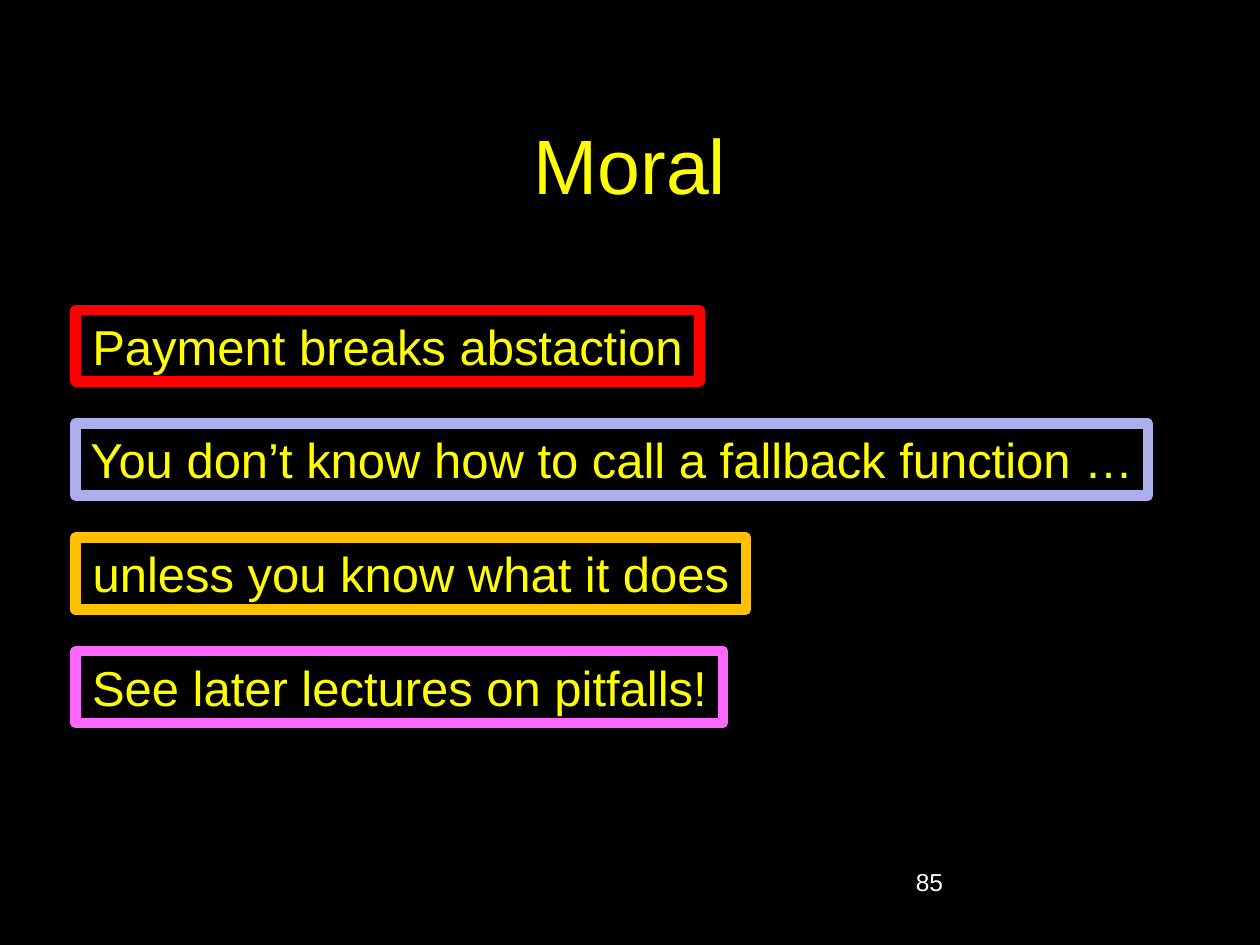
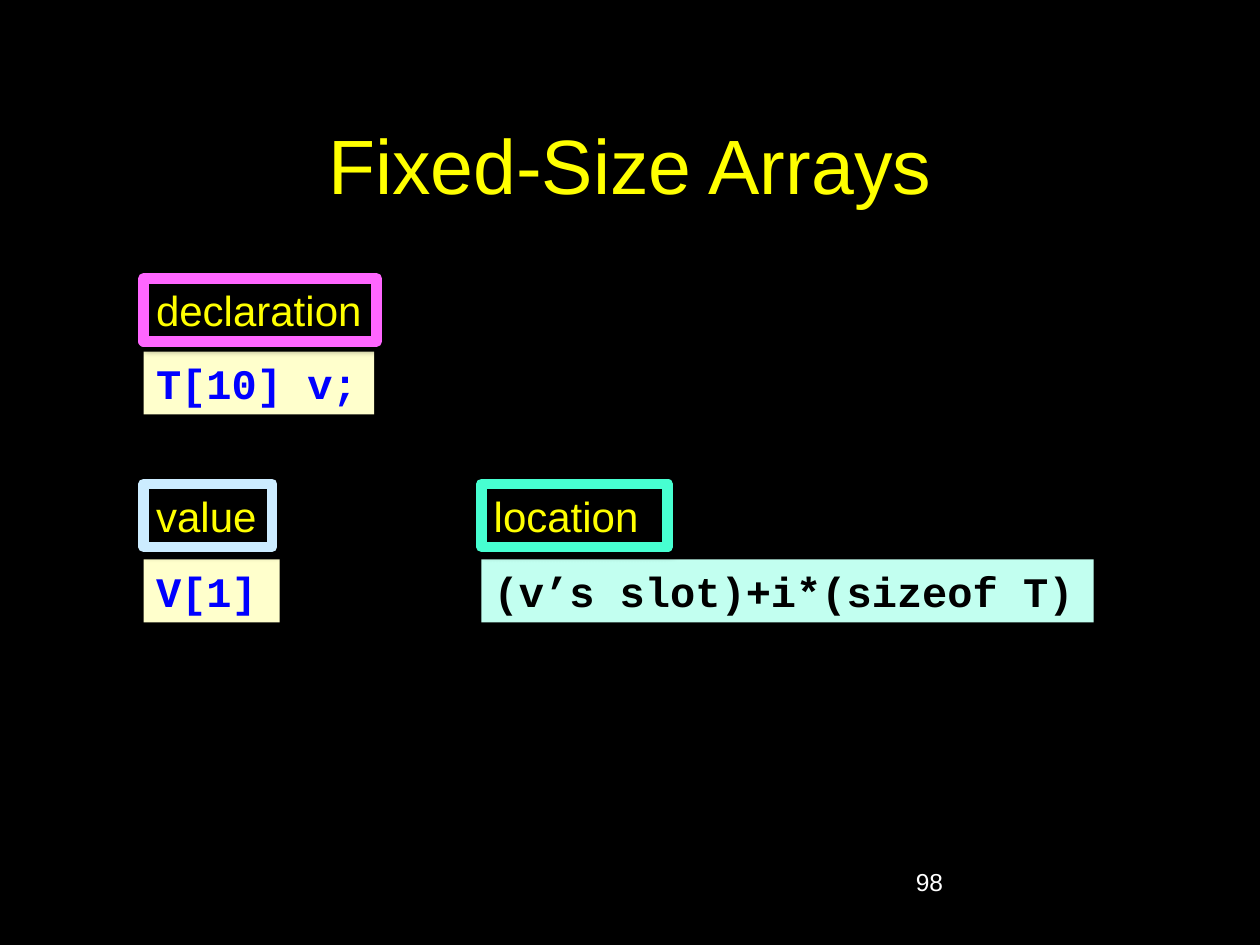
from lxml import etree
from pptx import Presentation
from pptx import util as u
from pptx.dml.color import RGBColor
from pptx.enum import shapes, text
from pptx.oxml import ns

BLACK, WHITE, YELLOW, PINK = "000000", "FFFFFF", "FFFF00", "FF66FF"
CREAM, BLUE, MINT = "FFFFCC", "0000FF", "C2FFF0"
TITLE = {"size": u.Pt(44), "name": "Arial"}
NUMBER = {"size": u.Pt(14), "name": "Arial"}
MORAL = {"size": u.Pt(28), "name": "Arial"}
LABEL = {"size": u.Pt(24), "name": "Arial"}
CODE = {"size": u.Pt(24), "name": "Courier New", "bold": True}
LEFT, CENTER = text.PP_ALIGN.LEFT, text.PP_ALIGN.CENTER
TOP, MIDDLE = text.MSO_ANCHOR.TOP, text.MSO_ANCHOR.MIDDLE


def rgb(hex_color):
    """Turn a hex string into a colour."""
    return RGBColor.from_string(hex_color)


def write(holder, words, style, color, align=LEFT, anchor=TOP, wrap=True):
    """Put one formatted line of text into a shape."""
    frame = holder.text_frame
    frame.word_wrap = wrap
    frame.vertical_anchor = anchor
    paragraph = frame.paragraphs[0]
    paragraph.alignment = align
    run = paragraph.add_run()
    run.text = words
    for key, value in style.items():
        setattr(run.font, key, value)
    run.font.color.rgb = rgb(color)


def add_slide(deck, title, number):
    """Add a black slide with its title and number."""
    slide = deck.slides.add_slide(deck.slide_layouts[6])
    slide.background.fill.solid()
    slide.background.fill.fore_color.rgb = rgb(BLACK)
    heading = slide.shapes.add_textbox(*map(u.Inches, (0.75, 0.67, 8.5, 1.25)))
    write(heading, title, TITLE, YELLOW, CENTER, MIDDLE)
    page = slide.shapes.add_textbox(*map(u.Inches, (7.17, 6.83, 2.08, 0.5)))
    write(page, str(number), NUMBER, WHITE)
    return slide


def add_box(slide, place, fill):
    """Add a filled rectangle that grows with its text."""
    box = slide.shapes.add_shape(shapes.MSO_SHAPE.RECTANGLE, *map(u.Inches, place))
    box.shadow.inherit = False
    box.fill.solid()
    box.fill.fore_color.rgb = rgb(fill)
    box.line.fill.background()
    box.text_frame.auto_size = text.MSO_AUTO_SIZE.SHAPE_TO_FIT_TEXT
    return box


def add_shadow(box):
    """Give a box a soft shadow to the lower right."""
    effects = box.element.spPr.find(ns.qn("a:effectLst"))
    shadow = etree.SubElement(effects, ns.qn("a:outerShdw"), blurRad=str(u.Pt(4)),
                              dist=str(u.Pt(3)), dir="2700000", rotWithShape="0")
    color = etree.SubElement(shadow, ns.qn("a:srgbClr"), val=BLACK)
    etree.SubElement(color, ns.qn("a:alpha"), val="40000")


def add_framed(slide, words, place, border, style, align=LEFT, wrap=True):
    """Add yellow text in a black box with a thick coloured border."""
    box = add_box(slide, place, BLACK)
    box.line.color.rgb = rgb(border)
    box.line.width = u.Pt(6)
    add_shadow(box)
    write(box, words, style, YELLOW, align, wrap=wrap)


def add_code(slide, words, place, fill, color, wrap=True):
    """Add a line of code on a pale box."""
    write(add_box(slide, place, fill), words, CODE, color, anchor=MIDDLE, wrap=wrap)


def build_moral(deck):
    """Build the slide with the four morals."""
    slide = add_slide(deck, "Moral", 85)
    morals = [
        ("Payment breaks abstaction", 4.95, "FF0000"),
        ("You don’t know how to call a fallback function …", 8.51, "ADADEB"),
        ("unless you know what it does", 5.32, "FFC000"),
        ("See later lectures on pitfalls!", 5.14, PINK),
    ]
    for row, (words, width, border) in enumerate(morals):
        place = (0.6, 2.46 + row * 0.903, width, 0.57)
        add_framed(slide, words, place, border, MORAL, CENTER, wrap=False)


def build_arrays(deck):
    """Build the slide that pairs labels with array code."""
    slide = add_slide(deck, "Fixed-Size Arrays", 98)
    near, far, height = 1.14, 3.82, 0.5
    add_code(slide, "(v’s slot)+i*(sizeof T)", (far, 4.44, 4.86, height), MINT, BLACK)
    add_code(slide, "T[10] v;", (near, 2.79, 1.83, height), CREAM, BLUE, wrap=False)
    add_code(slide, "V[1]", (near, 4.44, 1.08, height), CREAM, BLUE)
    add_framed(slide, "location", (far, 3.84, 1.48, height), "47FFD1", LABEL)
    add_framed(slide, "declaration", (near, 2.21, 1.85, height), PINK, LABEL, wrap=False)
    add_framed(slide, "value", (near, 3.84, 1.02, height), "CCECFF", LABEL)


def main():
    """Build and save the deck."""
    deck = Presentation()
    deck.slide_width, deck.slide_height = u.Inches(10), u.Inches(7.5)
    build_moral(deck)
    build_arrays(deck)
    deck.save("out.pptx")


if __name__ == "__main__":
    main()
